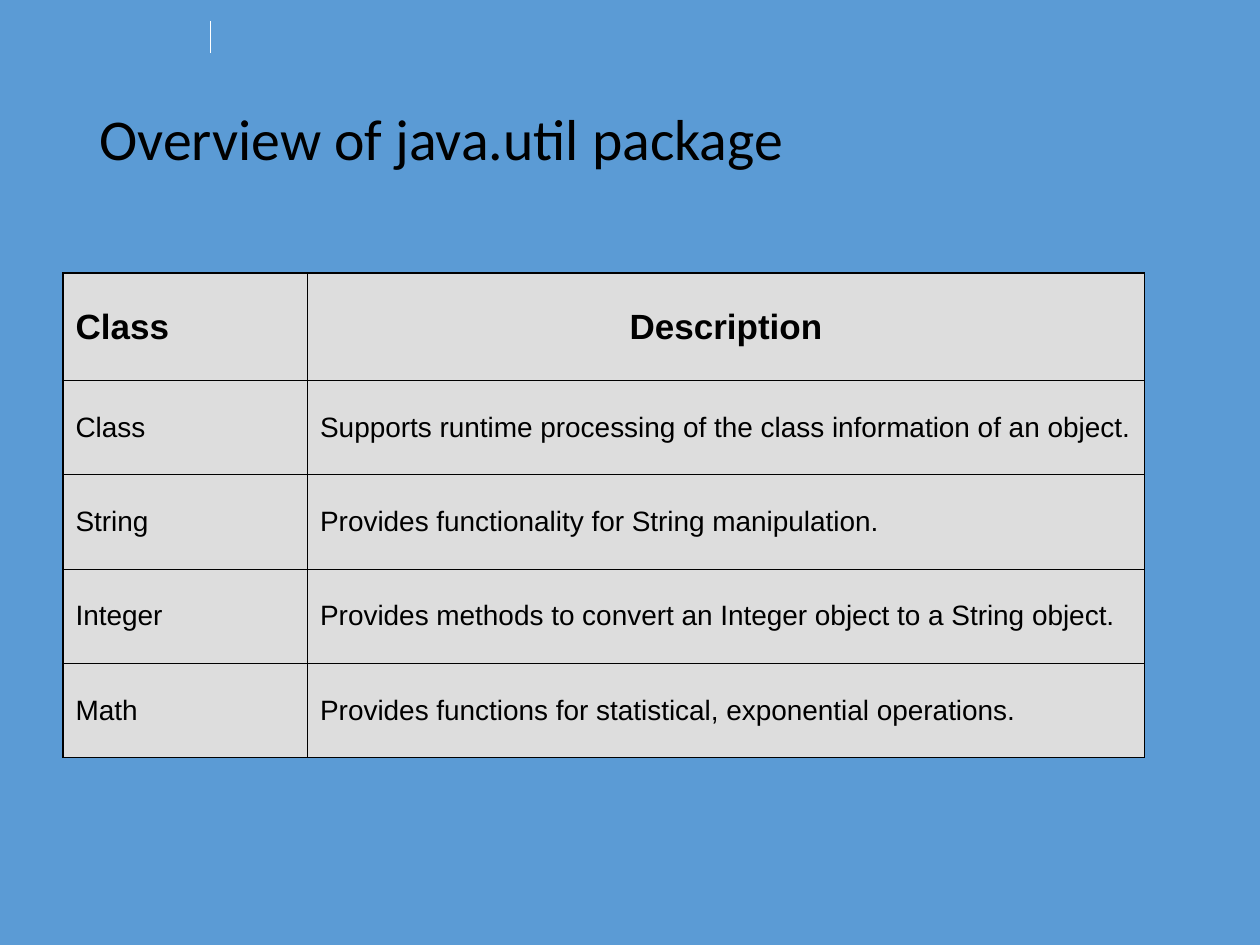
from lxml import etree
from pptx import Presentation
from pptx.dml.color import RGBColor
from pptx.enum import shapes, text
from pptx.oxml import ns
from pptx.util import Cm, Pt

BLUE = RGBColor(0x5B, 0x9B, 0xD5)
GREY = RGBColor(0xDD, 0xDD, 0xDD)
WHITE = RGBColor(0xFF, 0xFF, 0xFF)
BLACK = RGBColor(0, 0, 0)

THIN, THICK = Pt(0.45), Pt(1.08)
ROWS = [
    ("Class", "Description"),
    ("Class", "Supports runtime processing of the class information of an object."),
    ("String", "Provides functionality for String manipulation."),
    ("Integer", "Provides methods to convert an Integer object to a String object."),
    ("Math", "Provides functions for statistical, exponential operations."),
]
COLUMN_WIDTHS = [Cm(4.93), Cm(16.87)]
HEADER_HEIGHT, ROW_HEIGHT = Cm(2.16), Cm(1.9)
HEADER_FONT = {"name": "Arial", "size": Pt(20), "bold": True}
BODY_FONT = {"name": "Arial", "size": Pt(16), "bold": False}
HEADER_SPACING = {"space_before": Pt(8.8), "space_after": Pt(3.7)}
BODY_SPACING = {"space_before": Pt(7), "space_after": Pt(3)}


def apply_format(target, values):
    for name, value in values.items():
        setattr(target, name, value)


def set_borders(cell, widths):
    """Draw black cell borders; widths are in the schema order L, R, T, B."""
    properties = cell._tc.get_or_add_tcPr()
    for index, (side, width) in enumerate(zip("LRTB", widths)):
        line = etree.Element(ns.qn(f"a:ln{side}"), w=str(int(width)))
        fill = etree.SubElement(line, ns.qn("a:solidFill"))
        etree.SubElement(fill, ns.qn("a:srgbClr"), val=str(BLACK))
        properties.insert(index, line)


presentation = Presentation()
presentation.slide_width = Cm(25.4)
presentation.slide_height = Cm(19.05)
slide = presentation.slides.add_slide(presentation.slide_layouts[5])
slide.background.fill.solid()
slide.background.fill.fore_color.rgb = BLUE

# Short rule at the top
rule = slide.shapes.add_connector(
    shapes.MSO_CONNECTOR.STRAIGHT, Cm(4.24), Cm(1.07), Cm(4.24), Cm(0.43))
rule.line.color.rgb = WHITE
rule.line.width = Pt(0.75)
etree.SubElement(rule._element.spPr, ns.qn("a:effectLst"))

# Title
title = slide.shapes.title
apply_format(title, {"left": Cm(1.75), "top": Cm(1.02),
                     "width": Cm(21.92), "height": Cm(3.68)})
title.text_frame.text = "Overview of java.util package"
apply_format(title.text_frame, {"vertical_anchor": text.MSO_ANCHOR.MIDDLE,
                                "auto_size": text.MSO_AUTO_SIZE.NONE})
paragraph = title.text_frame.paragraphs[0]
apply_format(paragraph, {"alignment": text.PP_ALIGN.LEFT, "line_spacing": 0.9})
apply_format(paragraph.runs[0].font, {"name": "Calibri", "size": Pt(33)})
paragraph.runs[0].font.color.rgb = BLACK

# Table of classes
last_row, last_column = len(ROWS) - 1, len(COLUMN_WIDTHS) - 1
table = slide.shapes.add_table(
    len(ROWS), len(COLUMN_WIDTHS), Cm(1.27), Cm(5.51),
    sum(COLUMN_WIDTHS), HEADER_HEIGHT + last_row * ROW_HEIGHT).table
for column, width in zip(table.columns, COLUMN_WIDTHS):
    column.width = width

for row_index, row in enumerate(ROWS):
    is_header = row_index == 0
    table.rows[row_index].height = HEADER_HEIGHT if is_header else ROW_HEIGHT
    for column_index, words in enumerate(row):
        cell = table.cell(row_index, column_index)
        cell.text = words
        cell.vertical_anchor = text.MSO_ANCHOR.MIDDLE
        cell.fill.solid()
        cell.fill.fore_color.rgb = GREY
        outer = (column_index == 0, column_index == last_column,
                 is_header, row_index == last_row)
        set_borders(cell, [THICK if edge else THIN for edge in outer])

        paragraph = cell.text_frame.paragraphs[0]
        centred = is_header and column_index == last_column
        paragraph.alignment = text.PP_ALIGN.CENTER if centred else text.PP_ALIGN.LEFT
        apply_format(paragraph, HEADER_SPACING if is_header else BODY_SPACING)
        font = paragraph.runs[0].font
        apply_format(font, HEADER_FONT if is_header else BODY_FONT)
        font.color.rgb = BLACK

presentation.save("out.pptx")
